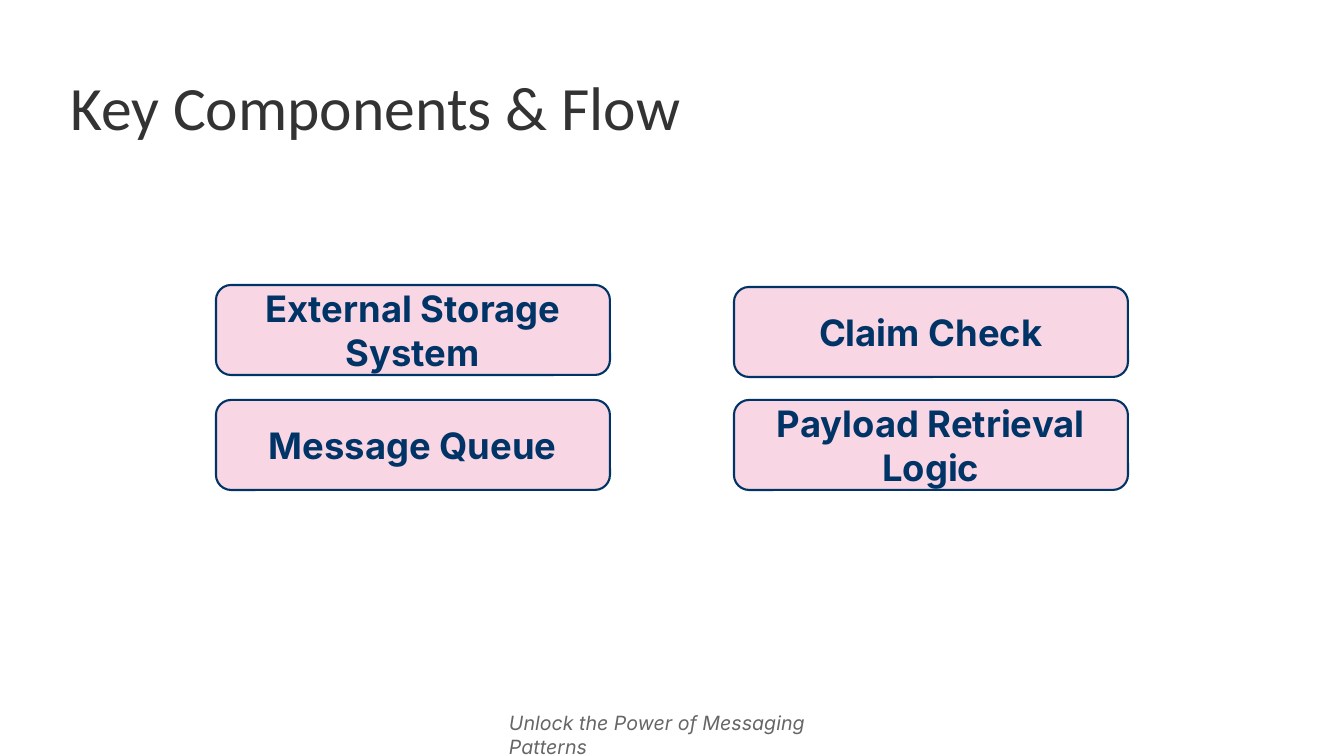
from pptx import Presentation
from pptx.dml.color import RGBColor
from pptx.enum.shapes import MSO_SHAPE
from pptx.enum.text import MSO_ANCHOR, PP_ALIGN
from pptx.util import Pt
from lxml.etree import SubElement
from pptx.oxml.ns import qn

PX = 914400 / 100.8
COLORS = {"title": "333333", "footer": "666666", "navy": "003366", "pink": "DD3377"}


def px(*lengths):
    return [round(length * PX) for length in lengths]


def write(shape, text, size, color, font="Inter", bold=False, italic=False,
          align=PP_ALIGN.LEFT, anchor=MSO_ANCHOR.MIDDLE, spacing=None):
    frame = shape.text_frame
    frame.word_wrap = True
    frame.vertical_anchor = anchor
    paragraph = frame.paragraphs[0]
    paragraph.alignment = align
    paragraph.line_spacing = spacing
    run = paragraph.add_run()
    run.text = text
    run.font.name = font
    run.font.size = Pt(size)
    run.font.bold = bold
    run.font.italic = italic
    run.font.color.rgb = RGBColor.from_string(COLORS[color])


presentation = Presentation()
presentation.slide_width, presentation.slide_height = px(1344, 756)
slide = presentation.slides.add_slide(presentation.slide_layouts[5])

footer = slide.shapes.add_textbox(*px(499, 706, 345, 34))
write(footer, "Unlock the Power of Messaging Patterns", 14, "footer",
      italic=True, anchor=MSO_ANCHOR.TOP)

title = slide.shapes.title
title.left, title.top, title.width, title.height = px(60, 50, 1224, 121)
write(title, "Key Components & Flow", 44, "title", font="Calibri", spacing=0.9)

components = [
    ("External Storage System", 216, 285),
    ("Claim Check", 734, 287),
    ("Message Queue", 216, 400),
    ("Payload Retrieval Logic", 734, 400),
]
for name, left, top in components:
    box = slide.shapes.add_shape(MSO_SHAPE.ROUNDED_RECTANGLE, *px(left, top, 394, 90))
    box.shadow.inherit = False
    box.fill.solid()
    box.fill.fore_color.rgb = RGBColor.from_string(COLORS["pink"])
    fill_color = box.fill._xPr.find(qn("a:solidFill")).find(qn("a:srgbClr"))
    SubElement(fill_color, qn("a:alpha")).set("val", "20000")
    box.line.color.rgb = RGBColor.from_string(COLORS["navy"])
    box.line.width = Pt(1.5)
    write(box, name, 26, "navy", bold=True, align=PP_ALIGN.CENTER)

presentation.save("out.pptx")
